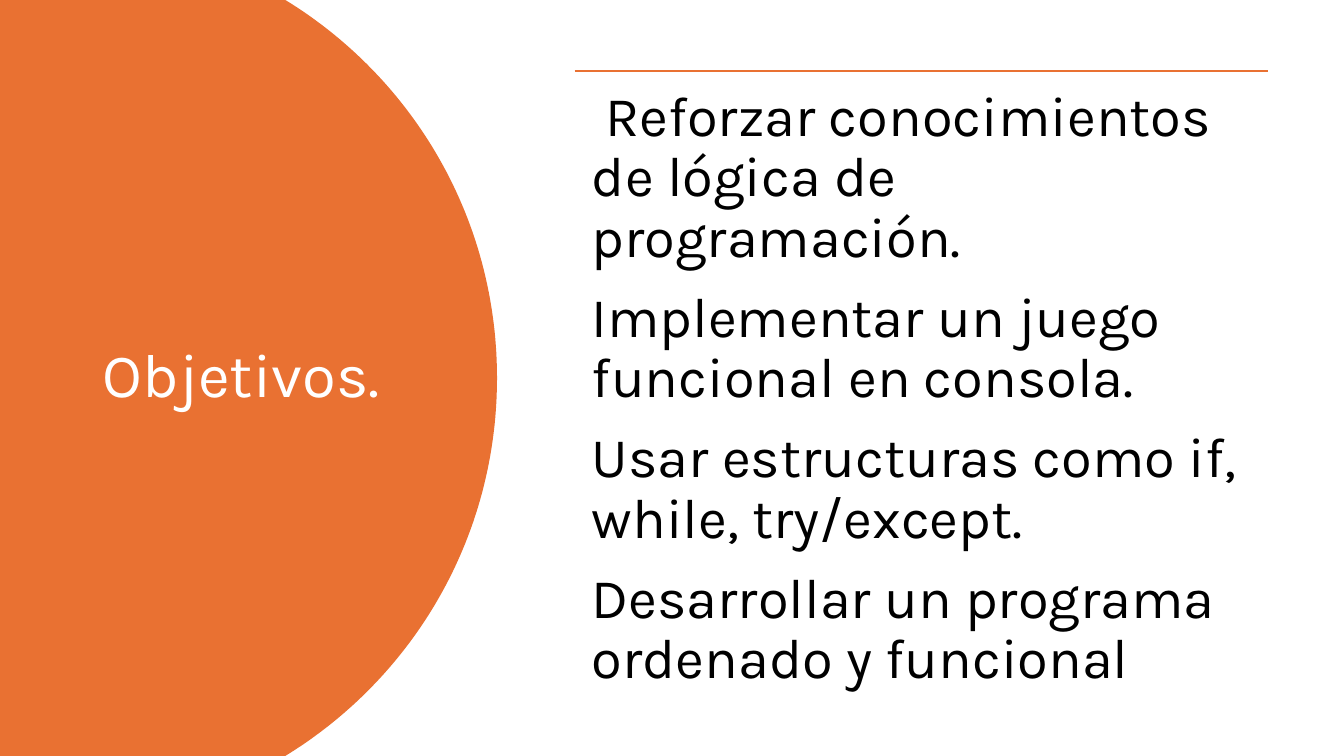
from pptx import Presentation
from pptx.dml.color import RGBColor
from pptx.enum.shapes import MSO_CONNECTOR
from pptx.enum.text import MSO_ANCHOR, MSO_AUTO_SIZE, PP_ALIGN
from pptx.oxml.ns import qn
from pptx.util import Inches, Pt
from lxml import etree

TOP, MIDDLE = MSO_ANCHOR.TOP, MSO_ANCHOR.MIDDLE
LEFT = PP_ALIGN.LEFT
NO_FIT = MSO_AUTO_SIZE.NONE
STRAIGHT = MSO_CONNECTOR.STRAIGHT

FONT = "Karla"
ORANGE, WHITE, BLACK = "E97132", "FFFFFF", "000000"
GOALS = [
    " Reforzar conocimientos de lógica de programación.",
    "Implementar un juego funcional en consola.",
    "Usar estructuras como if, while, try/except.",
    "Desarrollar un programa ordenado y funcional",
]


def color(code):
    return RGBColor.from_string(code)


def place(shape, box):
    shape.left, shape.top, shape.width, shape.height = map(Inches, box)


def write(para, text, size, code):
    para.alignment = LEFT
    para.line_spacing = 0.9
    para.space_before = Pt(0)
    run = para.add_run()
    run.text = text
    run.font.name = FONT
    run.font.size = Pt(size)
    run.font.color.rgb = color(code)


def curve(steps=60):
    """Upper half of the panel's edge, as fractions of its width and height."""
    xs, ys = (0.574, 0.83, 1, 1), (0, 0.103, 0.288, 0.5)
    for step in range(steps + 1):
        t = step / steps
        parts = ((1 - t) ** 3, 3 * t * (1 - t) ** 2, 3 * t * t * (1 - t), t ** 3)
        yield (sum(p * x for p, x in zip(parts, xs)),
               sum(p * y for p, y in zip(parts, ys)))


def add_panel(slide, box):
    left, top, width, height = box
    upper = list(curve())
    lower = [(x, 1 - y) for x, y in reversed(upper[:-1])]
    points = [(Inches(left + x * width), Inches(top + y * height))
              for x, y in upper + lower + [(0, 1)]]
    form = slide.shapes.build_freeform(Inches(left), Inches(top))
    form.add_line_segments(points, close=True)
    panel = form.convert_to_shape()
    panel.shadow.inherit = False
    panel.fill.solid()
    panel.fill.fore_color.rgb = color(ORANGE)
    panel.line.fill.background()
    # Send the panel behind the title
    slide.shapes._spTree.insert(2, panel._element)


def add_title(slide, box):
    title = slide.shapes.title
    place(title, box)
    frame = title.text_frame
    frame.word_wrap = True
    frame.auto_size = NO_FIT
    frame.vertical_anchor = MIDDLE
    write(frame.paragraphs[0], "Objetivos.", 44, WHITE)


def add_goals(slide, box):
    left, top, width, height = box

    # Rule along the top edge
    rule = slide.shapes.add_connector(
        STRAIGHT, Inches(left), Inches(top), Inches(left + width), Inches(top))
    rule.line.color.rgb = color(ORANGE)
    rule.line.width = Pt(1.5)
    etree.SubElement(rule._element.spPr, qn("a:effectLst"))

    # List without bullets
    body = slide.placeholders[1]
    place(body, box)
    frame = body.text_frame
    frame.word_wrap = True
    frame.auto_size = NO_FIT
    frame.vertical_anchor = TOP
    frame.margin_left = frame.margin_right = Inches(0.17)
    frame.margin_top = frame.margin_bottom = Inches(0.17)
    for index, goal in enumerate(GOALS):
        para = frame.add_paragraph() if index else frame.paragraphs[0]
        props = para._p.get_or_add_pPr()
        props.set("marL", "0")
        props.set("indent", "0")
        etree.SubElement(props, qn("a:buNone"))
        write(para, goal, 40, BLACK)
        para.space_after = Pt(14)


def main():
    deck = Presentation()
    deck.slide_width, deck.slide_height = Inches(13.33), Inches(7.5)
    slide = deck.slides.add_slide(deck.slide_layouts[1])
    add_panel(slide, (0, 0, 4.93, 7.5))
    add_title(slide, (0.92, 0.7, 3.23, 6.09))
    add_goals(slide, (5.7, 0.7, 6.88, 6.05))
    deck.save("out.pptx")


if __name__ == "__main__":
    main()
